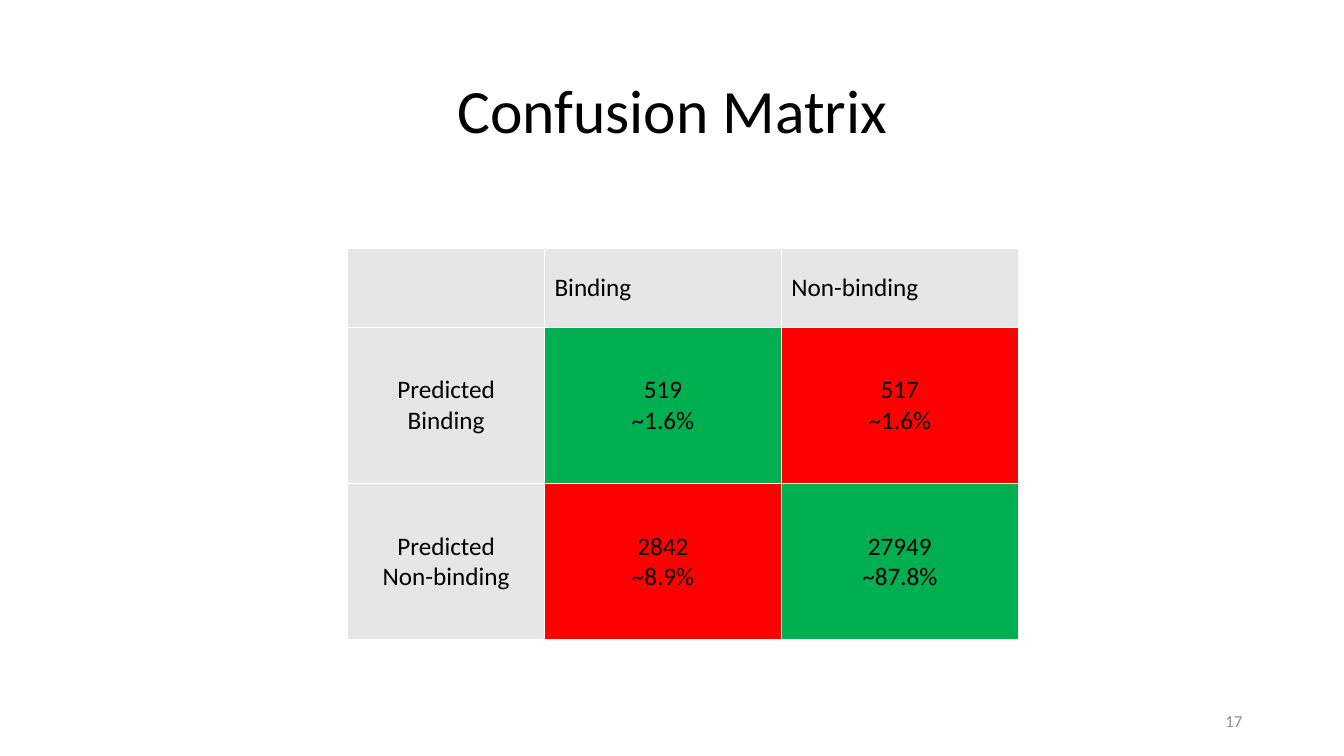
from pptx import Presentation
from pptx import util as u
from pptx.dml.color import RGBColor
from pptx.enum import text

COLORS = {"black": "000000", "number": "8C8C8C", "label": "E7E6E6",
          "correct": "00B050", "wrong": "FF0000"}
ALIGN = text.PP_ALIGN


def format_paragraph(paragraph, size, color, alignment):
    paragraph.alignment = alignment
    paragraph.font.name = "Calibri"
    paragraph.font.size = u.Pt(size)
    paragraph.font.bold = False
    paragraph.font.color.rgb = RGBColor.from_string(COLORS[color])


presentation = Presentation()
presentation.slide_width = u.Inches(13.33)
presentation.slide_height = u.Inches(7.5)
slide = presentation.slides.add_slide(presentation.slide_layouts[5])

# Title
title = slide.shapes.title
title.left, title.top = u.Inches(0.92), u.Inches(0.4)
title.width, title.height = u.Inches(11.5), u.Inches(1.45)
title.text_frame.text = "Confusion Matrix"
title.text_frame.vertical_anchor = text.MSO_ANCHOR.MIDDLE
title_paragraph = title.text_frame.paragraphs[0]
format_paragraph(title_paragraph, 44, "black", ALIGN.CENTER)
title_paragraph.line_spacing = 0.9

# Confusion matrix: the white grid lines come from the default table style
matrix = [
    ["", "Binding", "Non-binding"],
    ["Predicted Binding", "519\n~1.6%", "517\n~1.6%"],
    ["Predicted\nNon-binding", "2842\n~8.9%", "27949\n~87.8%"],
]
column_widths = [1.95, 2.35, 2.35]
row_heights = [0.79, 1.55, 1.55]
table = slide.shapes.add_table(
    len(matrix), len(column_widths), u.Inches(3.45), u.Inches(2.46),
    u.Inches(sum(column_widths)), u.Inches(sum(row_heights))).table
table.first_row = False
table.horz_banding = False
for column, width in zip(table.columns, column_widths):
    column.width = u.Inches(width)
for row, height in zip(table.rows, row_heights):
    row.height = u.Inches(height)

for row_index, labels in enumerate(matrix):
    for column_index, label in enumerate(labels):
        cell = table.cell(row_index, column_index)
        if row_index == 0 or column_index == 0:
            fill = "label"
        else:
            fill = "correct" if row_index == column_index else "wrong"
        cell.fill.solid()
        cell.fill.fore_color.rgb = RGBColor.from_string(COLORS[fill])
        cell.vertical_anchor = text.MSO_ANCHOR.MIDDLE
        cell.text_frame.text = label
        alignment = ALIGN.LEFT if row_index == 0 else ALIGN.CENTER
        for paragraph in cell.text_frame.paragraphs:
            format_paragraph(paragraph, 18, "black", alignment)

# Slide number
number = slide.shapes.add_textbox(
    u.Inches(9.42), u.Inches(6.95), u.Inches(3), u.Inches(0.4))
number.text_frame.word_wrap = True
number.text_frame.vertical_anchor = text.MSO_ANCHOR.MIDDLE
number.text_frame.text = "17"
format_paragraph(number.text_frame.paragraphs[0], 12, "number", ALIGN.RIGHT)

presentation.save("out.pptx")
